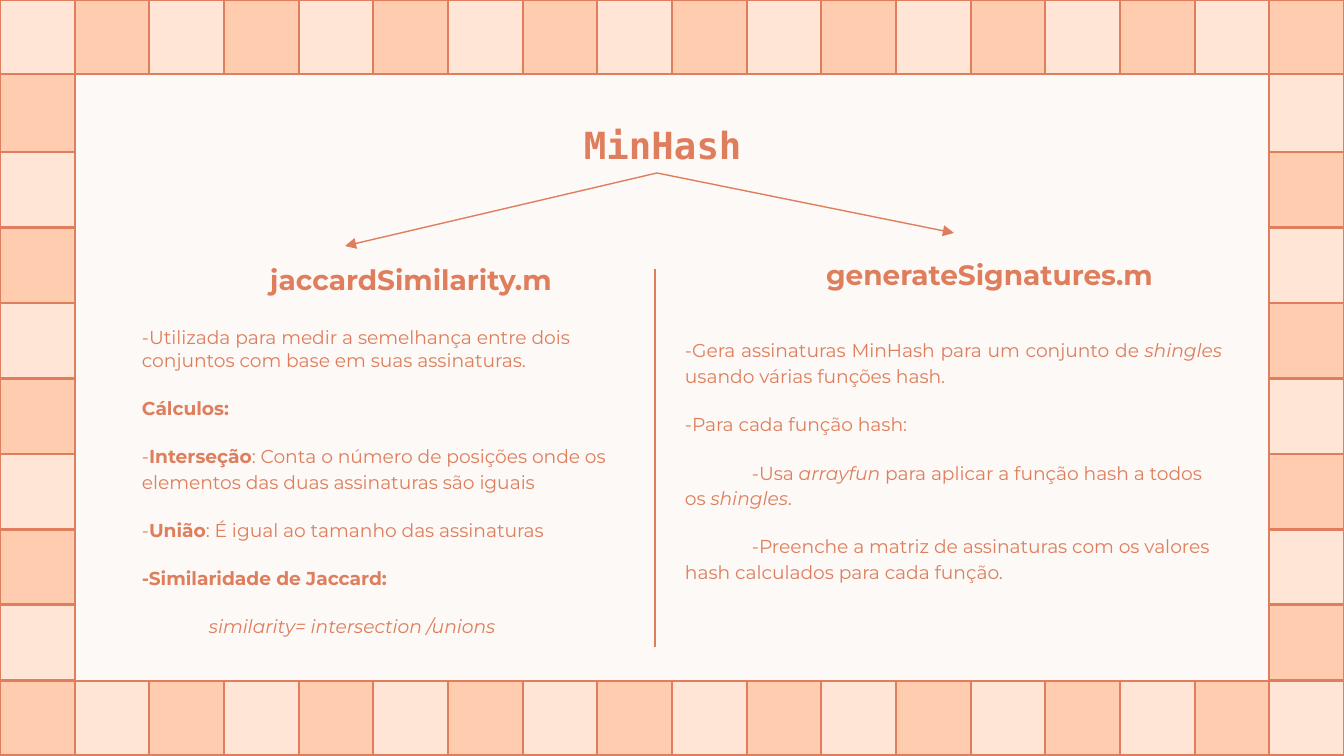
import pptx
import pptx.dml.color
import pptx.enum.shapes
import pptx.enum.text
import pptx.oxml.ns
import pptx.util
from lxml import etree

PX = 914400 / 134.4  # EMU per px
WIDTH, HEIGHT = 1344, 756
BACKGROUND, LIGHT, DARK, INK = "FCF9F6", "FFE5D6", "FFCCAF", "DE7E5D"
BODY_FONT, TITLE_FONT = "Montserrat", "DejaVu Sans Mono"
INSET, INDENT = 13, 67

# Checkered frame: edges of its columns and rows
COLUMNS = 18
column_edges = [round(WIDTH * i / COLUMNS) for i in range(COLUMNS + 1)]
SIDE_TOP, SIDE_BOTTOM, SIDE_ROWS = 152, 681, 7
row_edges = [0, 74]
row_edges += [round(SIDE_TOP + (SIDE_BOTTOM - SIDE_TOP) * i / SIDE_ROWS) for i in range(SIDE_ROWS + 1)]
row_edges.append(HEIGHT)

# Headings: text, box (left, top, width, height), font, size
HEADINGS = [
    ("MinHash", (571, 94, 329, 106), TITLE_FONT, 20),
    ("jaccardSimilarity.m", (257, 249, 329, 90), BODY_FONT, 15),
    ("generateSignatures.m", (813, 245, 480, 40), BODY_FONT, 15),
]

# Lines: start, end, arrowhead at the end
LINES = [
    ((657, 173), (954, 233), True),
    ((657, 173), (345, 246), True),
    ((655, 269), (655, 647), False),
]

# Body columns: box, then paragraphs of (line spacing, layout, runs of (text, style))
BODIES = [
    ((129, 313, 503, 387), [
        (1, "", [("-Utilizada para medir a semelhança entre dois conjuntos com base em suas assinaturas.", "")]),
        (1.15, "", [("Cálculos:", "bold")]),
        (1.15, "", [("-", ""), ("Interseção", "bold"),
                    (": Conta o número de posições onde os elementos das duas assinaturas são iguais", "")]),
        (1.15, "", [("-", ""), ("União", "bold"), (": É igual ao tamanho das assinaturas", "")]),
        (1.15, "", [("-Similaridade de Jaccard:", "bold")]),
        (1.15, "indent", [("similarity= intersection /unions", "italic")]),
    ]),
    ((672, 323, 563, 379), [
        (1.15, "justify", [("-Gera assinaturas MinHash para um conjunto de ", ""), ("shingles", "italic"),
                           (" usando várias funções hash.", "")]),
        (1.15, "", [("-Para cada função hash:", "")]),
        (1.15, "indent", [("-Usa ", ""), ("arrayfun", "italic"),
                          (" para aplicar a função hash a todos os ", ""), ("shingles", "italic"), (".", "")]),
        (1.15, "indent", [("-Preenche a matriz de assinaturas com os valores hash calculados "
                           "para cada função.", "")]),
    ]),
]


def emu(px):
    return pptx.util.Emu(round(px * PX))


def color(value):
    return pptx.dml.color.RGBColor.from_string(value)


def add_box(slide, box):
    text_frame = slide.shapes.add_textbox(*map(emu, box)).text_frame
    text_frame.word_wrap = True
    text_frame.margin_left = text_frame.margin_right = emu(INSET)
    text_frame.margin_top = text_frame.margin_bottom = emu(INSET)
    return text_frame


def style_run(run, font, size, style):
    run.font.name = font
    run.font.size = pptx.util.Pt(size)
    run.font.bold = style == "bold"
    run.font.italic = style == "italic"
    run.font.color.rgb = color(INK)


def add_frame(slide):
    last_row, last_column = len(row_edges) - 2, COLUMNS - 1
    for row, (top, bottom) in enumerate(zip(row_edges, row_edges[1:])):
        for column, (left, right) in enumerate(zip(column_edges, column_edges[1:])):
            if row not in (0, last_row) and column not in (0, last_column):
                continue
            tile = slide.shapes.add_shape(
                pptx.enum.shapes.MSO_SHAPE.RECTANGLE,
                emu(left), emu(top), emu(right - left), emu(bottom - top))
            tile.shadow.inherit = False
            tile.fill.solid()
            tile.fill.fore_color.rgb = color(DARK if (row + column) % 2 else LIGHT)
            tile.line.color.rgb = color(INK)
            tile.line.width = pptx.util.Pt(1.5)


def add_line(slide, start, end, arrow):
    connector = slide.shapes.add_connector(
        pptx.enum.shapes.MSO_CONNECTOR.STRAIGHT, *map(emu, start + end))
    connector.line.color.rgb = color(INK)
    connector.line.width = pptx.util.Pt(0.75)
    if arrow:
        outline = connector.line._get_or_add_ln()
        etree.SubElement(outline, pptx.oxml.ns.qn("a:tailEnd"), type="triangle")
    etree.SubElement(connector._element.spPr, pptx.oxml.ns.qn("a:effectLst"))


def add_heading(slide, text, box, font, size):
    text_frame = add_box(slide, box)
    text_frame.text = text
    paragraph = text_frame.paragraphs[0]
    if font == TITLE_FONT:
        text_frame.vertical_anchor = pptx.enum.text.MSO_ANCHOR.MIDDLE
        paragraph.line_spacing = 0.9
    style_run(paragraph.runs[0], font, size, "bold")


def add_body(slide, box, paragraphs):
    text_frame = add_box(slide, box)
    for index, (spacing, layout, runs) in enumerate(paragraphs):
        paragraph = text_frame.add_paragraph() if index else text_frame.paragraphs[0]
        paragraph.line_spacing = spacing
        paragraph.space_before = pptx.util.Pt(12 if index else 0)
        if layout == "justify":
            paragraph.alignment = pptx.enum.text.PP_ALIGN.JUSTIFY
        elif layout == "indent":
            properties = paragraph._p.get_or_add_pPr()
            properties.set("marL", "0")
            properties.set("indent", str(emu(INDENT)))
        for text, style in runs:
            run = paragraph.add_run()
            run.text = text
            style_run(run, BODY_FONT, 10, style)


def main():
    presentation = pptx.Presentation()
    presentation.slide_width, presentation.slide_height = emu(WIDTH), emu(HEIGHT)
    slide = presentation.slides.add_slide(presentation.slide_layouts[6])
    slide.background.fill.solid()
    slide.background.fill.fore_color.rgb = color(BACKGROUND)

    add_frame(slide)
    for heading in HEADINGS:
        add_heading(slide, *heading)
    for line in LINES:
        add_line(slide, *line)
    for body in BODIES:
        add_body(slide, *body)

    presentation.save("out.pptx")


if __name__ == "__main__":
    main()
